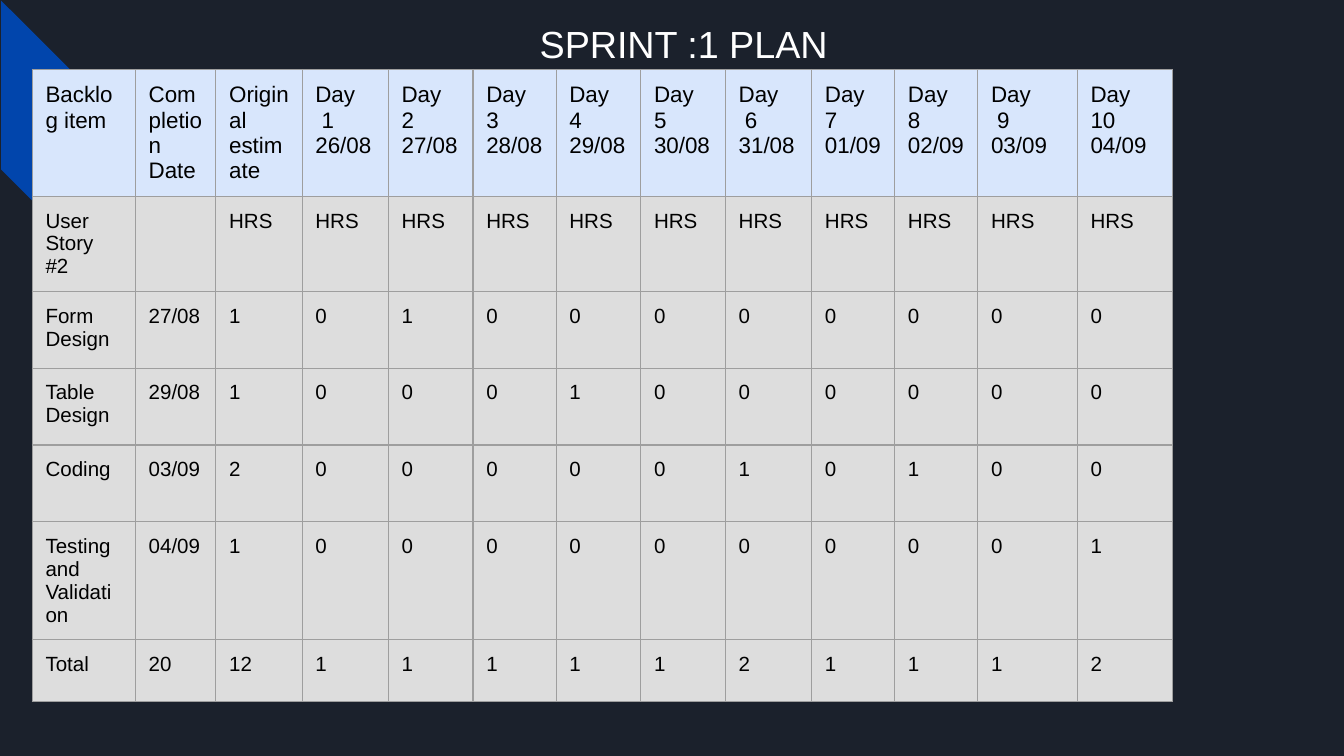
from dataclasses import dataclass
from pptx import Presentation
from pptx.dml.color import RGBColor
from pptx.enum.shapes import MSO_SHAPE as Preset
from pptx.enum.text import MSO_ANCHOR as Anchor, MSO_AUTO_SIZE as AutoSize, PP_ALIGN as Align
from pptx.oxml.ns import qn
from pptx.util import Cm, Pt
from lxml.etree import SubElement


@dataclass(frozen=True)
class Theme:
    font: str = "Arial"
    night: str = "1B212C"
    blue: str = "0145AC"
    white: str = "FFFFFF"
    black: str = "000000"
    header: str = "D8E6FC"
    body: str = "DDDDDD"
    border: str = "9E9E9E"
    title_size: float = 20.2
    header_size: float = 12
    body_size: float = 11
    border_width: float = 0.75
    inset: float = 0.25


THEME = Theme()
TITLE_ONLY = 5

COLUMN_WIDTHS = [1.95, 1.52, 1.63, 1.63, 1.6, 1.57, 1.6, 1.6, 1.63, 1.57, 1.57, 1.88, 1.8]
ROW_HEIGHTS = [1.91] + [1.45] * 5 + [1.17]
# A line break starts a new paragraph
HEADINGS = ["Backlog item", "Completion Date", "Original estimate",
            "Day\n 1\n26/08", "Day 2\n27/08", "Day 3\n28/08", "Day 4\n29/08",
            "Day 5\n30/08", "Day\n 6\n31/08", "Day 7\n01/09", "Day 8\n02/09",
            "Day\n 9\n03/09", "Day\n10\n04/09"]
# Backlog item, completion date, original estimate, then hours for days 1 to 10
ROWS = [
    ["User Story\n#2", ""] + ["HRS"] * 11,
    ["Form Design", "27/08", 1, 0, 1, 0, 0, 0, 0, 0, 0, 0, 0],
    ["Table Design", "29/08", 1, 0, 0, 0, 1, 0, 0, 0, 0, 0, 0],
    ["Coding", "03/09", 2, 0, 0, 0, 0, 0, 1, 0, 1, 0, 0],
    ["Testing and Validation", "04/09", 1, 0, 0, 0, 0, 0, 0, 0, 0, 0, 1],
    ["Total", 20, 12, 1, 1, 1, 1, 1, 2, 1, 1, 1, 2],
]


def paint(fill, color):
    fill.solid()
    fill.fore_color.rgb = RGBColor.from_string(color)


def write_text(frame, text, *, size, color=THEME.black, align=Align.LEFT):
    """Fill a text frame, one paragraph for each line of text."""
    frame.word_wrap = True
    for index, line in enumerate(text.split("\n")):
        para = frame.paragraphs[0] if index == 0 else frame.add_paragraph()
        para.alignment = align
        para.font.size = Pt(size)
        if line:
            span = para.add_run()
            span.text = line
            span.font.name = THEME.font
            span.font.size = Pt(size)
            span.font.color.rgb = RGBColor.from_string(color)


def set_margins(holder):
    for side in ("left", "right", "top", "bottom"):
        setattr(holder, f"margin_{side}", Cm(THEME.inset))


def add_borders(cell):
    properties = cell._tc.get_or_add_tcPr()
    for index, side in enumerate(("lnL", "lnR", "lnT", "lnB")):
        line = SubElement(properties, qn(f"a:{side}"), w=str(Pt(THEME.border_width)))
        fill = SubElement(line, qn("a:solidFill"))
        SubElement(fill, qn("a:srgbClr"), val=THEME.border)
        # Lines come before the fill in the cell properties
        properties.insert(index, line)


def place_title(page, left, top, width, height):
    title = page.shapes.title
    title.left, title.top, title.width, title.height = map(Cm, (left, top, width, height))
    frame = title.text_frame
    frame.auto_size = AutoSize.NONE
    frame.vertical_anchor = Anchor.BOTTOM
    set_margins(frame)
    write_text(frame, "SPRINT :1 PLAN", size=THEME.title_size, color=THEME.white,
               align=Align.CENTER)


def place_stripe(page, left, top, width, height):
    stripe = page.shapes.add_shape(Preset.DIAGONAL_STRIPE, *map(Cm, (left, top, width, height)))
    stripe.adjustments[0] = 0.5
    stripe.rotation = 270
    stripe.shadow.inherit = False
    stripe.line.fill.background()
    paint(stripe.fill, THEME.blue)


def place_plan(page, left, top):
    box = (left, top, sum(COLUMN_WIDTHS), sum(ROW_HEIGHTS))
    table = page.shapes.add_table(len(ROW_HEIGHTS), len(COLUMN_WIDTHS), *map(Cm, box)).table
    table.first_row = table.horz_banding = False
    for column, width in zip(table.columns, COLUMN_WIDTHS):
        column.width = Cm(width)
    for row, height in zip(table.rows, ROW_HEIGHTS):
        row.height = Cm(height)
    for row_index, values in enumerate([HEADINGS] + ROWS):
        is_header = row_index == 0
        for column_index, value in enumerate(values):
            cell = table.cell(row_index, column_index)
            set_margins(cell)
            paint(cell.fill, THEME.header if is_header else THEME.body)
            add_borders(cell)
            write_text(cell.text_frame, str(value),
                       size=THEME.header_size if is_header else THEME.body_size)


def main():
    deck = Presentation()
    deck.slide_width, deck.slide_height = Cm(25.4), Cm(14.28)
    page = deck.slides.add_slide(deck.slide_layouts[TITLE_ONLY])
    paint(page.background.fill, THEME.night)
    # Corner accent lies behind the table
    place_stripe(page, 0.03, 0, 6.38, 6.4)
    place_title(page, 1.3, 0.13, 23.24, 1.37)
    place_plan(page, 0.61, 1.31)
    deck.save("out.pptx")


if __name__ == "__main__":
    main()
